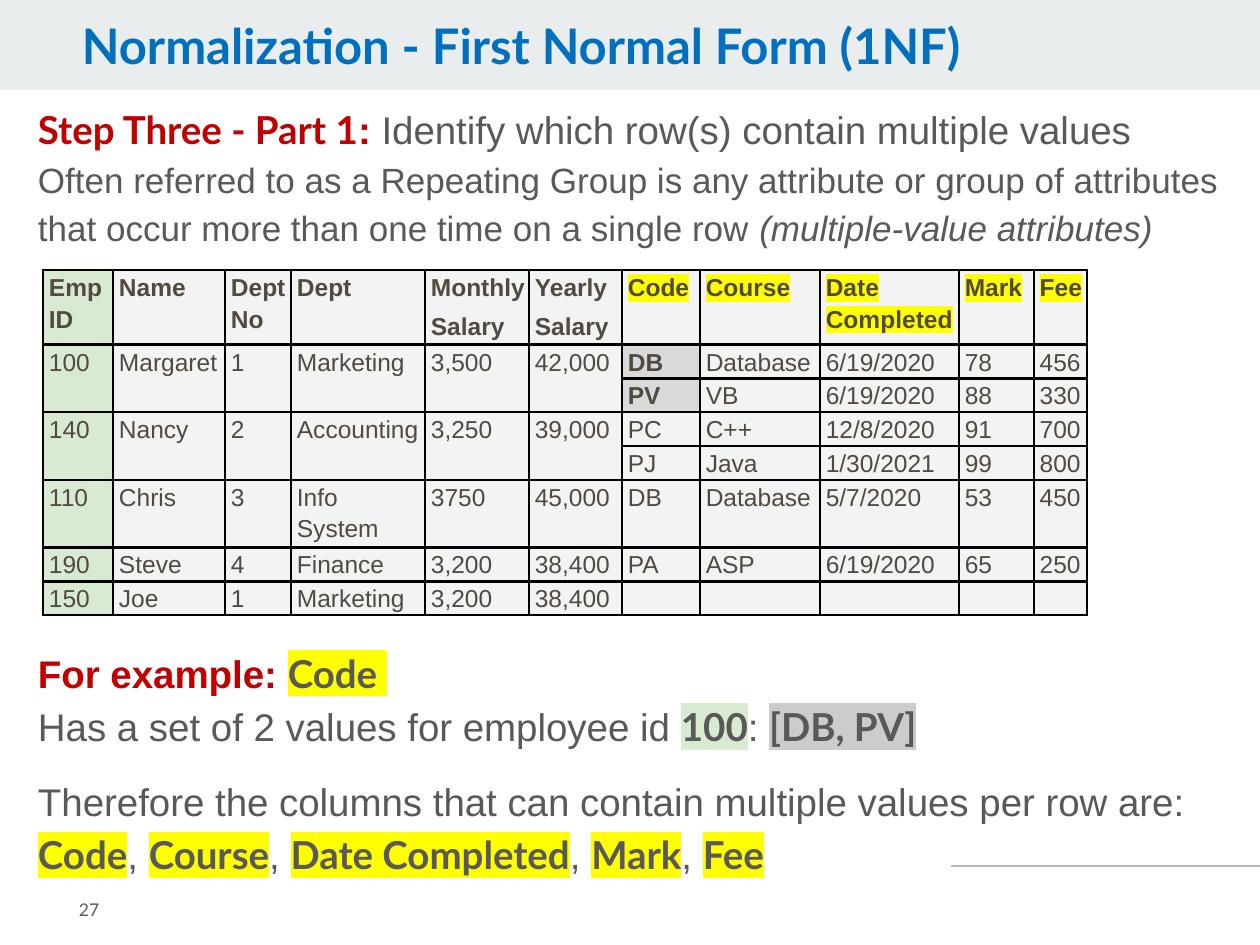
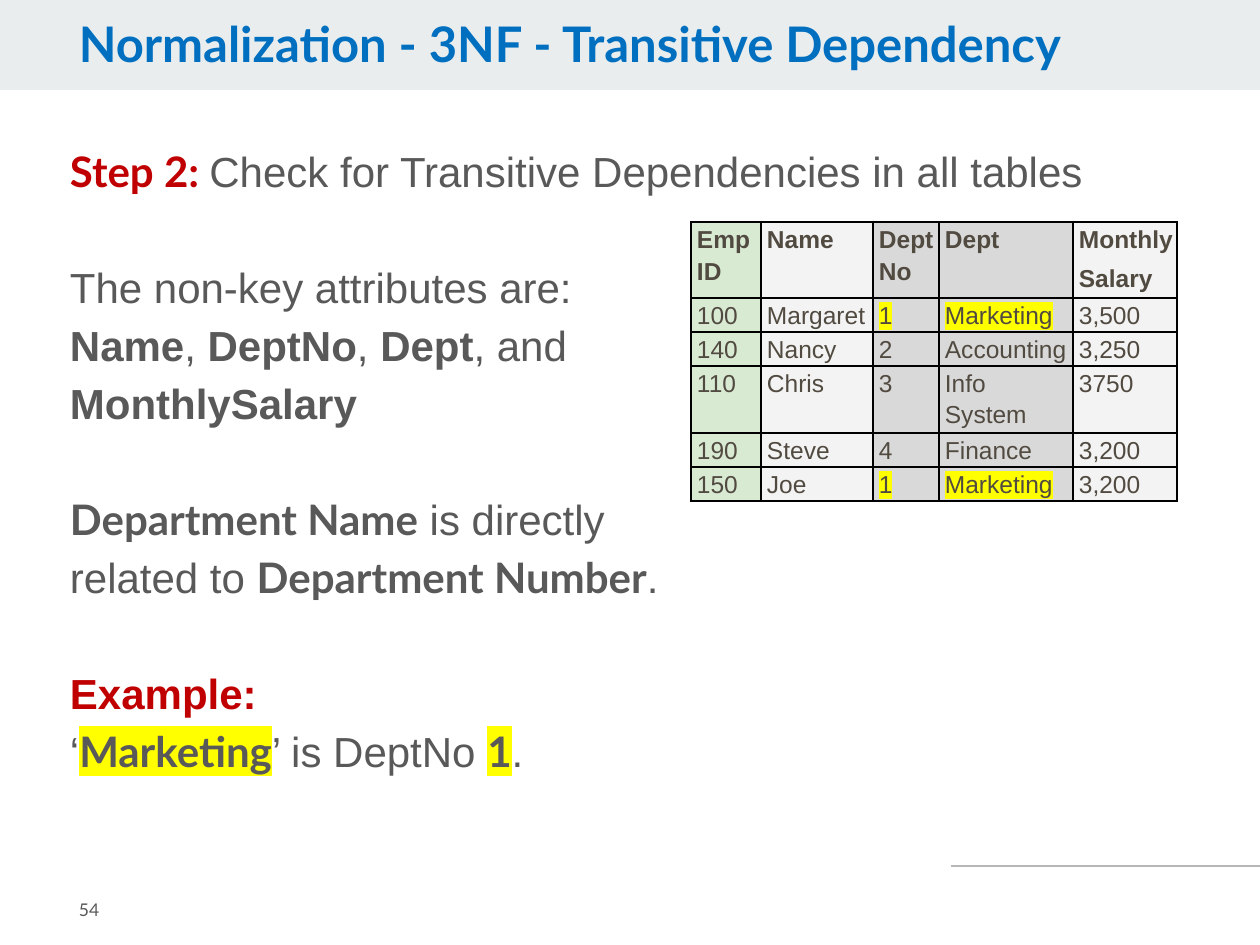
from dataclasses import dataclass

from lxml.etree import SubElement
from pptx import Presentation
from pptx.dml.color import RGBColor as Color
from pptx.enum.shapes import MSO_CONNECTOR as Connector, MSO_SHAPE as Shape
from pptx.enum.text import MSO_ANCHOR as Anchor
from pptx.oxml.ns import qn
from pptx.util import Pt

PX = 914400 / 126


@dataclass(frozen=True)
class Theme:
    band: str = "E9EDEE"
    rule: str = "B7B7B7"
    title: str = "006FBF"
    red: str = "C00000"
    body: str = "595959"
    cell: str = "514A40"
    border: str = "000000"
    yellow: str = "FFFF00"
    green: str = "D9EAD3"
    silver: str = "CCCCCC"
    grey: str = "D9D9D9"
    light: str = "F3F3F3"
    sans: str = "Arial"
    display: str = "Lato"
    title_size: int = 28
    cell_size: int = 14
    number_size: int = 10
    leading: float = 1.38


theme = Theme()


def px(length):
    return round(length * PX)


def write(para, text, size=14, font=theme.sans, color=theme.body,
          bold=False, italic=False, mark=None):
    """Add text to a paragraph; each newline becomes a line break."""
    if not text:
        SubElement(para._p, qn("a:endParaRPr"), sz=str(size * 100))
        return
    for number, part in enumerate(text.split("\n")):
        if number:
            para.add_line_break()
        if not part:
            continue
        span = para.add_run()
        span.text = part
        span.font.size, span.font.bold, span.font.italic = Pt(size), bold, italic
        span.font.color.rgb = Color.from_string(color)
        if mark:
            highlight = SubElement(span._r.get_or_add_rPr(), qn("a:highlight"))
            SubElement(highlight, qn("a:srgbClr"), val=mark)
        span.font.name = font


# Text styles
plain = {}
bold = dict(bold=True)
italic = dict(italic=True)
red = dict(bold=True, color=theme.red)
strong = dict(bold=True, font=theme.display)
red_strong = dict(strong, color=theme.red)
yellow = dict(strong, mark=theme.yellow)
green = dict(strong, mark=theme.green)
silver = dict(strong, mark=theme.silver)

# Table data
columns = [70, 112, 66, 134, 104, 93, 78, 120, 139, 75, 53]
header = ["Emp ID", "Name", "Dept No", "Dept", "Monthly\nSalary", "Yearly\nSalary",
          "Code", "Course", "Date Completed", "Mark", "Fee"]
margaret = ["100", "Margaret", "1", "Marketing", "3,500", "42,000"]
nancy = ["140", "Nancy", "2", "Accounting", "3,250", "39,000"]
chris = ["110", "Chris", "3", "Info System", "3750", "45,000"]
steve = ["190", "Steve", "4", "Finance", "3,200", "38,400"]
joe = ["150", "Joe", "1", "Marketing", "3,200", "38,400"]
employees = [margaret, nancy, chris, steve, joe]
merged = [""] * 6
courses = [
    margaret + ["DB", "Database", "6/19/2020", "78", "456"],
    merged + ["PV", "VB", "6/19/2020", "88", "330"],
    nancy + ["PC", "C++", "12/8/2020", "91", "700"],
    merged + ["PJ", "Java", "1/30/2021", "99", "800"],
    chris + ["DB", "Database", "5/7/2020", "53", "450"],
    steve + ["PA", "ASP", "6/19/2020", "65", "250"],
    joe + [""] * 5,
]

# Slide contents; each body paragraph is (gap before, size, spans)
slides = [
    dict(
        title="Normalization - First Normal Form (1NF)", title_box=(69, 16, 993, 69),
        number="27", body_box=(25, 93, 1218, 762),
        body=[
            (0, 22, [("Step Three - Part 1", red_strong), (": ", red),
                     ("Identify which row(s) contain multiple values", plain)]),
            (0, 20, [("Often referred to as a Repeating Group is any attribute or group of "
                      "attributes that occur more than one time on a single row ", plain),
                     ("(multiple-value attributes)", italic)]),
            (394, 22, [("For example: ", red), ("Code ", yellow)]),
            (0, 22, [("Has a set of 2 values for employee id ", plain), ("100", green),
                     (": ", plain), ("[DB, PV]", silver)]),
            (22, 22, [("Therefore the columns that can contain multiple values per row are:\n",
                       plain),
                      ("Code", yellow), (", ", plain), ("Course", yellow), (", ", plain),
                      ("Date Completed", yellow), (", ", plain), ("Mark", yellow),
                      (", ", plain), ("Fee", yellow)]),
        ],
        table_at=(43, 270), rows=[header] + courses,
        heights=[70, 32, 32, 32, 32, 63, 32, 32], merge_rows=[1, 3],
        grey={(1, 6), (2, 6)}, bold={(1, 6), (2, 6)},
        marked={(0, column) for column in range(6, 11)},
    ),
    dict(
        title="Normalization - 3NF - Transitive Dependency", title_box=(66, 14, 1111, 69),
        number="54", body_box=(57, 132, 1148, 629),
        body=[
            (0, 24, [("Step 2: ", red_strong),
                     ("Check for Transitive Dependencies in all tables", plain)]),
            (58, 24, [("The non-key attributes are:\n", plain), ("Name", bold), (", ", plain),
                      ("DeptNo", bold), (", ", plain), ("Dept", bold), (", and\n", plain),
                      ("MonthlySalary", bold)]),
            (58, 24, [("Department Name", strong), (" is directly\nrelated to ", plain),
                      ("Department Number", strong), (".", plain)]),
            (58, 24, [("Example:\n", red), ("‘", plain), ("Marketing", yellow),
                      ("’ is DeptNo ", plain), ("1", yellow), (".", plain)]),
        ],
        table_at=(691, 222), rows=[row[:5] for row in [header] + employees],
        heights=[76, 32, 32, 63, 32, 32], merge_rows=[],
        grey={(row, column) for row in range(6) for column in (2, 3)}, bold=set(),
        marked={(row, column) for row in (1, 5) for column in (2, 3)},
    ),
]

deck = Presentation()
deck.slide_width, deck.slide_height = px(1260), px(945)

for content in slides:
    page = deck.slides.add_slide(deck.slide_layouts[6])

    # Footer rule and title band
    rule = page.shapes.add_connector(Connector.STRAIGHT, px(951), px(866), px(1260), px(866))
    rule.line.color.rgb = Color.from_string(theme.rule)
    rule.line.width = Pt(0.75)
    SubElement(rule._element.spPr, qn("a:effectLst"))
    band = page.shapes.add_shape(Shape.RECTANGLE, 0, 0, px(1260), px(90))
    band.shadow.inherit = False
    band.fill.solid()
    band.fill.fore_color.rgb = Color.from_string(theme.band)
    band.line.fill.background()

    # Title, body and page number
    title_spans = [(content["title"], dict(strong, color=theme.title))]
    number_spans = [(content["number"], dict(font=theme.display))]
    boxes = [
        (content["title_box"], 6, Anchor.TOP, 0.9, [(0, theme.title_size, title_spans)]),
        (content["body_box"], 6, Anchor.TOP, None, content["body"]),
        ((66, 873, 155, 72), 13, Anchor.MIDDLE, 1.0, [(0, theme.number_size, number_spans)]),
    ]
    for place, inset, anchor, spacing, paragraphs in boxes:
        box = page.shapes.add_textbox(*map(px, place))
        frame = box.text_frame
        frame.word_wrap, frame.vertical_anchor = True, anchor
        frame.margin_left = frame.margin_right = px(13)
        frame.margin_top = frame.margin_bottom = px(inset)
        for index, (gap, size, spans) in enumerate(paragraphs):
            para = frame.add_paragraph() if index else frame.paragraphs[0]
            para.line_spacing = spacing or Pt(size * theme.leading)
            if gap:
                para.space_before = px(gap)
            for text, style in spans:
                write(para, text, size=size, **style)

    # Table grid
    rows, heights = content["rows"], content["heights"]
    widths = columns[:len(rows[0])]
    place = (*content["table_at"], sum(widths), sum(heights))
    table = page.shapes.add_table(len(rows), len(widths), *map(px, place)).table
    table.first_row = table.horz_banding = False
    for column, width in zip(table.columns, widths):
        column.width = px(width)
    for row, height in zip(table.rows, heights):
        row.height = px(height)

    # Table cells
    for row_number, row in enumerate(rows):
        for column_number, text in enumerate(row):
            spot = row_number, column_number
            cell = table.cell(*spot)
            cell.margin_left = px(6)
            cell.margin_right = cell.margin_top = cell.margin_bottom = 0
            for side in ("lnL", "lnR", "lnT", "lnB"):
                edge = SubElement(cell._tc.get_or_add_tcPr(), qn(f"a:{side}"), w=str(Pt(1.5)))
                paint = SubElement(edge, qn("a:solidFill"))
                SubElement(paint, qn("a:srgbClr"), val=theme.border)
            shade = theme.grey if spot in content["grey"] else theme.light
            cell.fill.solid()
            cell.fill.fore_color.rgb = Color.from_string(
                shade if column_number else theme.green)
            for index, line in enumerate(text.split("\n")):
                frame = cell.text_frame
                para = frame.add_paragraph() if index else frame.paragraphs[0]
                para.line_spacing = 1.15
                if index:
                    para.space_before = Pt(4)
                write(para, line, size=theme.cell_size, color=theme.cell,
                      bold=row_number == 0 or spot in content["bold"],
                      mark=theme.yellow if spot in content["marked"] else None)
    for row_number in content["merge_rows"]:
        for column_number in range(len(merged)):
            table.cell(row_number, column_number).merge(
                table.cell(row_number + 1, column_number))

deck.save("out.pptx")
